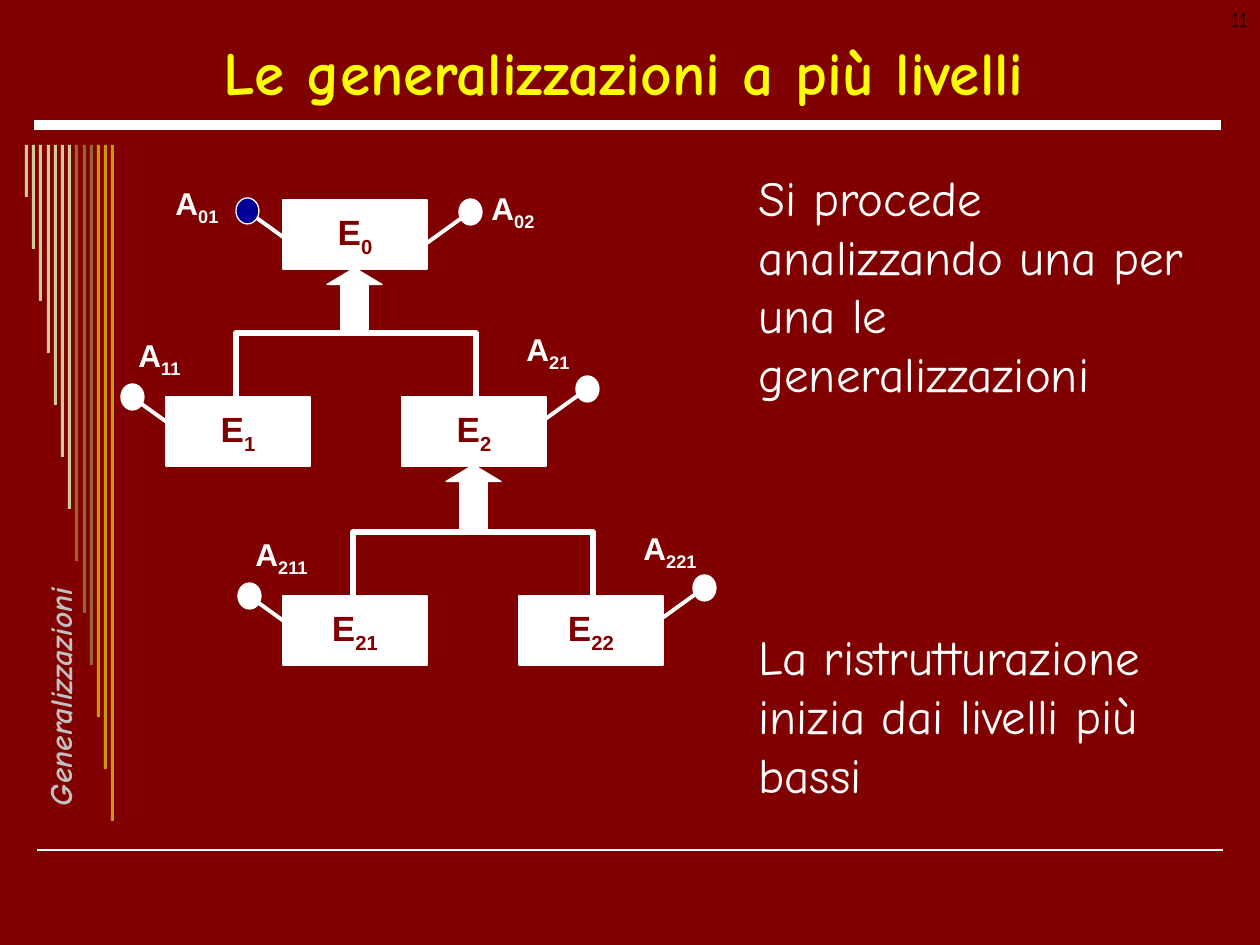
import pptx
import pptx.dml.color
import pptx.enum.shapes
import pptx.enum.text
import pptx.oxml.ns
import pptx.util
from lxml import etree

SHAPES = pptx.enum.shapes.MSO_SHAPE
ALIGN = pptx.enum.text.PP_ALIGN
ANCHOR = pptx.enum.text.MSO_ANCHOR
EMU_PER_PX = 914400 / 126
BOX_WIDTH, BOX_HEIGHT = 144, 69


def px(length):
    return pptx.util.Emu(round(length * EMU_PER_PX))


def color(code):
    return pptx.dml.color.RGBColor.from_string(code)


class Painter:
    white = "FFFFFF"
    maroon = "800000"
    display_font = "Comic Neue"
    diagram_font = "Arial"

    def __init__(self, page):
        self.page = page
        page.background.fill.solid()
        page.background.fill.fore_color.rgb = color(self.maroon)

    def place(self, item, left, top, width, height):
        item.left, item.top = px(left), px(top)
        item.width, item.height = px(width), px(height)

    def format(self, para, size, code, font, bold=False, italic=False):
        for span in para.runs:
            span.font.size = pptx.util.Pt(size)
            span.font.name = font
            span.font.bold = bold
            span.font.italic = italic
            span.font.color.rgb = color(code)

    def symbol(self, para, name, size, code):
        para.text = name[0]
        index = para.add_run()
        index.text = name[1:]
        self.format(para, size, code, self.diagram_font, bold=True)
        index._r.get_or_add_rPr().set("baseline", "-25000")

    def title(self, text, *area):
        box = self.page.shapes.title
        self.place(box, *area)
        frame = box.text_frame
        frame.text = text
        frame.auto_size = pptx.enum.text.MSO_AUTO_SIZE.NONE
        frame.vertical_anchor = ANCHOR.MIDDLE
        para = frame.paragraphs[0]
        para.alignment = ALIGN.CENTER
        self.format(para, 35, "FFFF00", self.display_font, bold=True)

    def body(self, texts, gap, *area):
        box = self.page.placeholders[1]
        self.place(box, *area)
        frame = box.text_frame
        frame.text = "\n".join(texts)
        frame.auto_size = pptx.enum.text.MSO_AUTO_SIZE.NONE
        for number, para in enumerate(frame.paragraphs):
            properties = para._p.get_or_add_pPr()
            properties.set("marL", "0")
            properties.set("indent", "0")
            etree.SubElement(properties, pptx.oxml.ns.qn("a:buNone"))
            para.space_before = pptx.util.Pt(gap if number else 0)
            self.format(para, 28, self.white, self.display_font)

    def text(self, *area, wrap=True):
        box = self.page.shapes.add_textbox(*map(px, area))
        box.text_frame.word_wrap = wrap
        return box

    def line(self, start, end, width):
        connector = self.page.shapes.add_connector(
            pptx.enum.shapes.MSO_CONNECTOR.STRAIGHT, *map(px, start + end))
        connector.line.color.rgb = color(self.white)
        connector.line.width = pptx.util.Pt(width)
        etree.SubElement(connector._element.spPr, pptx.oxml.ns.qn("a:effectLst"))

    def shape(self, kind, *area, fill=white, outlined=True):
        shape = self.page.shapes.add_shape(kind, *map(px, area))
        shape.shadow.inherit = False
        shape.fill.solid()
        shape.fill.fore_color.rgb = color(fill)
        if outlined:
            shape.line.color.rgb = color(self.white)
            shape.line.width = pptx.util.Pt(0.75)
        else:
            shape.line.fill.background()
        return shape

    def entity(self, name, left, top):
        box = self.shape(SHAPES.RECTANGLE, left, top, BOX_WIDTH, BOX_HEIGHT)
        frame = box.text_frame
        frame.word_wrap = False
        frame.vertical_anchor = ANCHOR.MIDDLE
        para = frame.paragraphs[0]
        self.symbol(para, name, 20, self.maroon)
        para.alignment = ALIGN.CENTER

    def attribute(self, name, dot, label, toward, fill=white):
        x, y = dot
        self.line((x + toward * 43, y + 31), dot, 2.25)
        self.shape(SHAPES.OVAL, x - 11, y - 13, 23, 26, fill=fill)
        box = self.text(x + label[0], y + label[1], 93, 55)
        self.symbol(box.text_frame.paragraphs[0], name, 18, self.white)

    def generalization(self, parent, left_child, right_child):
        bottom = parent[1] + BOX_HEIGHT
        arrow = self.shape(SHAPES.UP_ARROW, parent[0] + 44, bottom - 1, 55, 66)
        arrow.adjustments[0] = 0.5
        arrow.adjustments[1] = 0.3
        left, right = left_child[0] + 70, right_child[0] + 74
        child_top = left_child[1]
        bus = child_top - 64
        builder = self.page.shapes.build_freeform(left, child_top, scale=EMU_PER_PX)
        builder.add_line_segments(
            [(left, bus), (right, bus), (right, child_top)], close=False)
        branch = builder.convert_to_shape()
        branch.shadow.inherit = False
        branch.fill.background()
        branch.line.color.rgb = color(self.white)
        branch.line.width = pptx.util.Pt(3)


def main():
    deck = pptx.Presentation()
    deck.slide_width, deck.slide_height = px(1260), px(945)
    painter = Painter(deck.slides.add_slide(deck.slide_layouts[1]))

    painter.line((37, 850), (1223, 850), 1)
    painter.line((34, 125), (1221, 125), 6)
    bar_colors = ["CCCC99"] * 7 + ["996633"] * 3 + ["CC9900"] * 3
    for number, code in enumerate(bar_colors):
        painter.shape(SHAPES.RECTANGLE, round(25 + 7.2 * number), 145,
                      3, 52 * (number + 1), fill=code, outlined=False)

    section = painter.text(-94, 660, 287, 30, wrap=False)
    section.rotation = 270
    section.text_frame.text = "Generalizzazioni"
    painter.format(section.text_frame.paragraphs[0], 18, "C0C0C0",
                   painter.display_font, bold=True, italic=True)

    painter.title("Le generalizzazioni a più livelli", 44, 26, 1160, 90)
    painter.body(["Si procede analizzando una per una le generalizzazioni",
                  "La ristrutturazione inizia dai livelli più bassi"],
                 128, 746, 161, 484, 660)

    entities = {"E0": (283, 200), "E1": (166, 397), "E2": (402, 397),
                "E21": (283, 596), "E22": (519, 596)}
    for parent, left_child, right_child in [("E0", "E1", "E2"), ("E2", "E21", "E22")]:
        painter.generalization(
            entities[parent], entities[left_child], entities[right_child])
    for name, corner in entities.items():
        painter.entity(name, *corner)

    painter.attribute("A01", (247, 211), (-84, -33), 1, fill="000099")
    painter.attribute("A02", (470, 212), (9, -29), -1)
    for name, dot in [("A11", (132, 397)), ("A211", (249, 596))]:
        painter.attribute(name, dot, (-6, -67), 1)
    for name, dot in [("A21", (587, 389)), ("A221", (704, 588))]:
        painter.attribute(name, dot, (-73, -65), -1)

    number = painter.text(966, 0, 294, 63)
    number.text_frame.text = "11"
    para = number.text_frame.paragraphs[0]
    para.alignment = ALIGN.RIGHT
    painter.format(para, 12, "000000", painter.display_font)

    deck.save("out.pptx")


if __name__ == "__main__":
    main()
